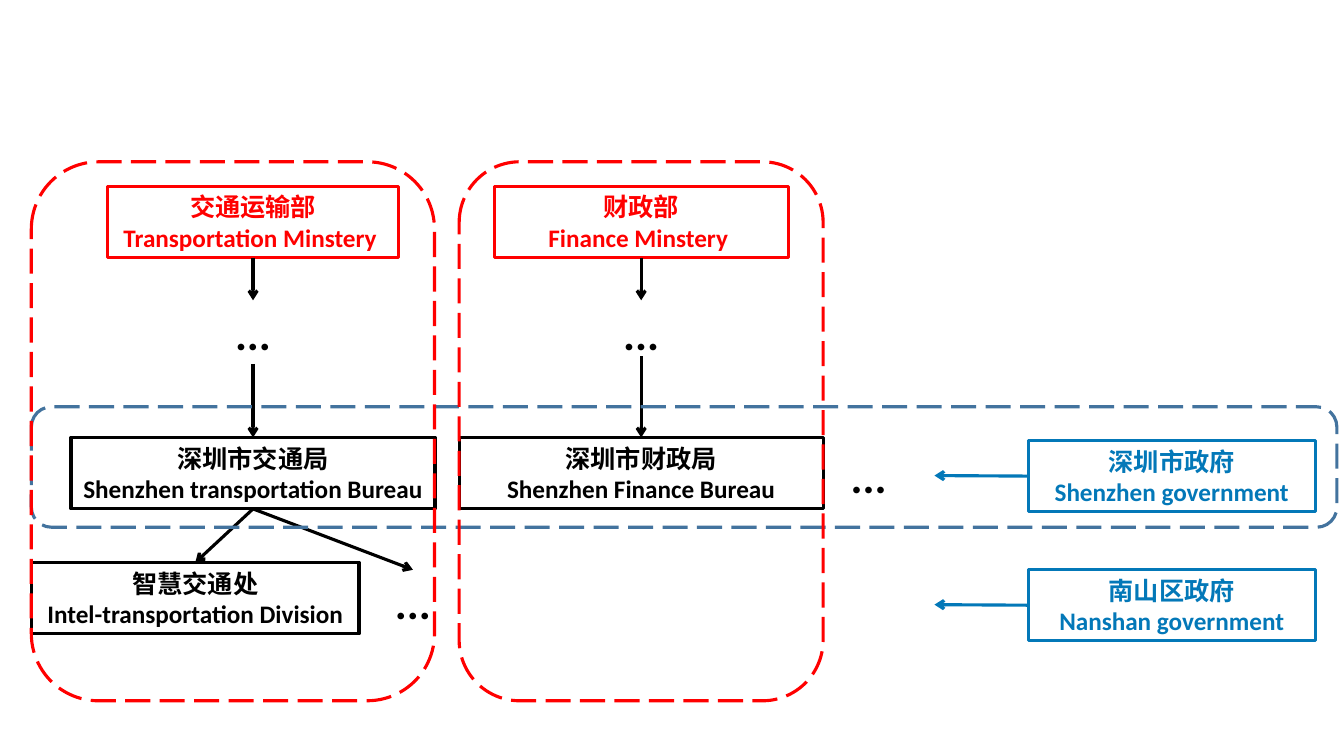
from lxml import etree
from pptx import Presentation
from pptx.dml.color import RGBColor
from pptx.enum.dml import MSO_LINE
from pptx.enum.shapes import MSO_CONNECTOR, MSO_SHAPE
from pptx.enum.text import MSO_ANCHOR, PP_ALIGN
from pptx.oxml.ns import qn
from pptx.util import Pt

RECTANGLE = MSO_SHAPE.RECTANGLE
ROUNDED = MSO_SHAPE.ROUNDED_RECTANGLE
STRAIGHT = MSO_CONNECTOR.STRAIGHT
LONG_DASH = MSO_LINE.LONG_DASH
CENTER = PP_ALIGN.CENTER
MIDDLE = MSO_ANCHOR.MIDDLE

BLACK = RGBColor(0x00, 0x00, 0x00)
RED = RGBColor(0xFF, 0x00, 0x00)
BLUE = RGBColor(0x03, 0x78, 0xB8)
STEEL = RGBColor(0x43, 0x73, 0x9E)

BOX_HEIGHT = 51
MINISTRY_TOP = 133
BUREAU_TOP = 312.5
DIVISION_TOP = 401.8
TRANSPORT_X = 180.75
FINANCE_X = 458
GOVERNMENT_X = 837


class Diagram:
    """Draws on one slide in a shared style; all lengths are in points."""

    font = "Calibri"
    line_width = 2.25
    text_size = 18
    dots_size = 32

    def __init__(self, slide):
        self.slide = slide

    def outline(self, kind, left, top, width, height, color):
        shape = self.slide.shapes.add_shape(
            kind, Pt(left), Pt(top), Pt(width), Pt(height))
        shape.shadow.inherit = False
        shape.fill.background()
        shape.line.color.rgb = color
        shape.line.width = Pt(self.line_width)
        return shape

    def set_text(self, shape, text, size, color):
        frame = shape.text_frame
        frame.word_wrap = True
        frame.text = text
        for paragraph in frame.paragraphs:
            paragraph.alignment = CENTER
            for run in paragraph.runs:
                run.font.name = self.font
                run.font.size = Pt(size)
                run.font.bold = True
                run.font.color.rgb = color

    def box(self, center, top, width, text, color):
        shape = self.outline(
            RECTANGLE, center - width / 2, top, width, BOX_HEIGHT, color)
        shape.text_frame.vertical_anchor = MIDDLE
        self.set_text(shape, text, self.text_size, color)

    def frame(self, left, top, width, height, color):
        shape = self.outline(ROUNDED, left, top, width, height, color)
        shape.line.dash_style = LONG_DASH

    def dots(self, center, top):
        width = 66
        shape = self.slide.shapes.add_textbox(
            Pt(center - width / 2), Pt(top), Pt(width), Pt(46))
        self.set_text(shape, "...", self.dots_size, BLACK)

    def arrow(self, start_x, start_y, end_x, end_y, color=BLACK):
        connector = self.slide.shapes.add_connector(
            STRAIGHT, Pt(start_x), Pt(start_y), Pt(end_x), Pt(end_y))
        connector.line.color.rgb = color
        connector.line.width = Pt(self.line_width)
        properties = connector._element.spPr
        line = properties.find(qn("a:ln"))
        etree.SubElement(line, qn("a:tailEnd")).set("type", "arrow")
        etree.SubElement(properties, qn("a:effectLst"))


def main():
    presentation = Presentation()
    presentation.slide_width = Pt(960)
    presentation.slide_height = Pt(540)
    slide = presentation.slides.add_slide(presentation.slide_layouts[6])
    diagram = Diagram(slide)

    columns = [
        (TRANSPORT_X, 208, "交通运输部\nTransportation Minstery ",
         "深圳市交通局\nShenzhen transportation Bureau", 260),
        (FINANCE_X, 210, "财政部\nFinance Minstery ",
         "深圳市财政局\nShenzhen Finance Bureau", 254.5),
    ]
    for center, width, ministry, bureau, lower_arrow_top in columns:
        diagram.box(center, MINISTRY_TOP, width, ministry, RED)
        diagram.arrow(center, MINISTRY_TOP + BOX_HEIGHT, center, 214.5)
        diagram.dots(center, 214.5)
        diagram.arrow(center, lower_arrow_top, center, BUREAU_TOP)
        diagram.box(center, BUREAU_TOP, 260, bureau, BLACK)

    diagram.box(139.5, DIVISION_TOP, 234,
                "智慧交通处\nIntel-transportation Division", BLACK)
    bureau_bottom = BUREAU_TOP + BOX_HEIGHT
    diagram.arrow(TRANSPORT_X, bureau_bottom, 139.5, DIVISION_TOP)
    diagram.arrow(TRANSPORT_X, bureau_bottom, 295, 407)
    diagram.dots(295, 407)
    diagram.dots(620.5, 317)

    governments = [
        (314.6, "深圳市政府\nShenzhen government"),
        (406.8, "南山区政府\nNanshan government"),
    ]
    for top, text in governments:
        diagram.box(GOVERNMENT_X, top, 205, text, BLUE)
        middle = top + BOX_HEIGHT / 2
        diagram.arrow(734.5, middle, 667.5, middle - 0.4, BLUE)

    diagram.frame(22.4, 290.6, 932.5, 86, STEEL)
    for left, width in [(328, 260), (22.4, 288)]:
        diagram.frame(left, 115.6, width, 385, RED)

    presentation.save("out.pptx")


if __name__ == "__main__":
    main()
